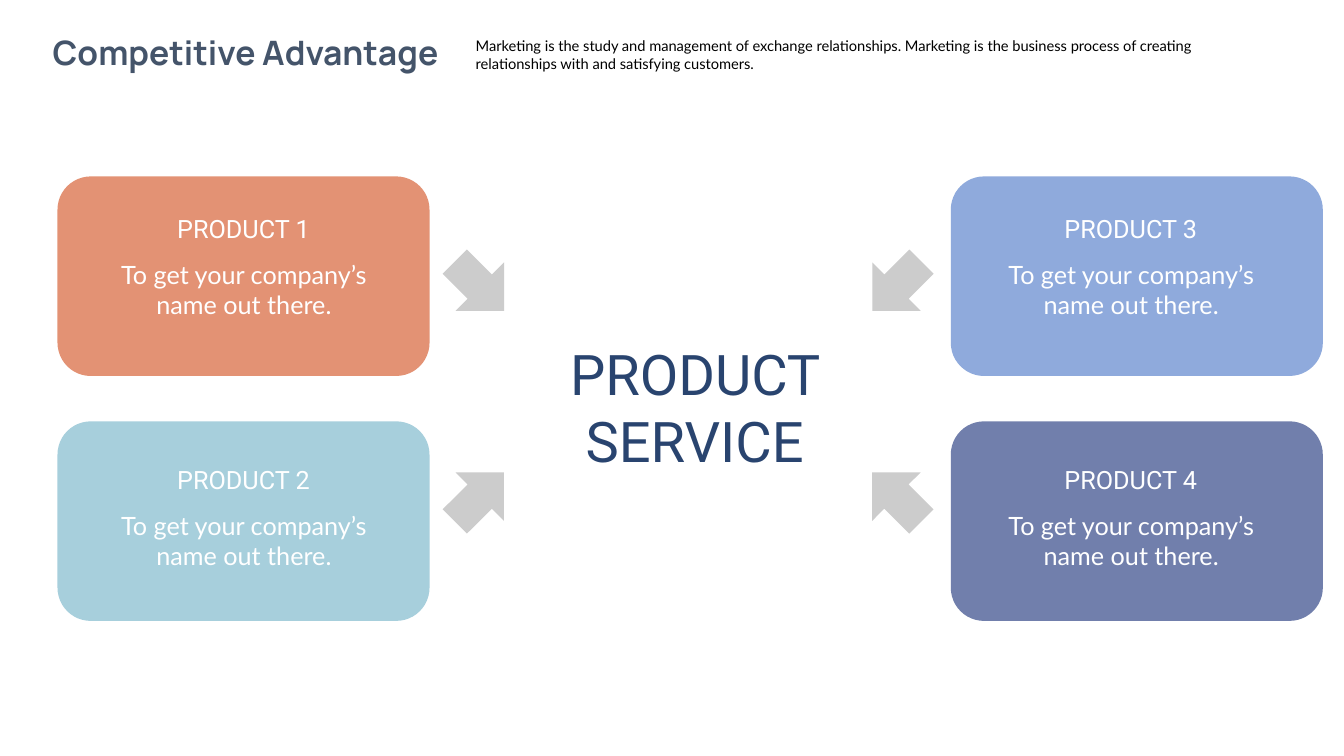
import pptx
import pptx.dml.color
import pptx.enum.shapes
import pptx.enum.text
import pptx.util

EMU_PER_PX = 9144  # 100 px to the inch
COLORS = {
    "title": "44546A", "intro": "000000", "center": "29446F",
    "card_text": "FFFFFF", "arrow": "CCCCCC",
    "orange": "E39274", "teal": "A7CFDC", "blue": "8FAADC", "indigo": "717FAC",
}
CARD_SIZE = (369, 198)
ARROW_SIZE = (69, 68)
SLOGAN = "To get your company’s name out there."


def px(length):
    return pptx.util.Emu(length * EMU_PER_PX)


def rgb(name):
    return pptx.dml.color.RGBColor.from_string(COLORS[name])


def write(holder, text, font_name, size, color, bold=False, centered=True, wrap=True):
    frame = holder.text_frame
    frame.text = text
    frame.word_wrap = wrap
    frame.auto_size = pptx.enum.text.MSO_AUTO_SIZE.NONE
    frame.vertical_anchor = pptx.enum.text.MSO_ANCHOR.TOP
    line = frame.paragraphs[0]
    align = pptx.enum.text.PP_ALIGN
    line.alignment = align.CENTER if centered else align.LEFT
    font = line.runs[0].font
    font.name = font_name
    font.size = pptx.util.Pt(size)
    font.bold = bold
    font.color.rgb = rgb(color)


def add_text(slide, box, *args, **kwargs):
    write(slide.shapes.add_textbox(*map(px, box)), *args, **kwargs)


def add_solid(slide, kind, box, color):
    solid = slide.shapes.add_shape(kind, *map(px, box))
    solid.shadow.inherit = False
    solid.fill.solid()
    solid.fill.fore_color.rgb = rgb(color)
    solid.line.fill.background()
    return solid


def add_header(slide, left, top):
    title = slide.shapes.title
    title.left, title.top, title.width, title.height = map(px, (left, top, 437, 50))
    write(title, "Competitive Advantage", "Manrope", 24, "title", bold=True, wrap=False)
    intro = (
        "Marketing is the study and management of exchange relationships. "
        "Marketing is the business process of creating relationships with "
        "and satisfying customers."
    )
    add_text(slide, (left + 437, top + 5, 772, 45), intro, "Lato", 10.5, "intro",
             centered=False)


def add_card(slide, left, top, color):
    add_solid(slide, pptx.enum.shapes.MSO_SHAPE.ROUNDED_RECTANGLE,
              (left, top, *CARD_SIZE), color)


def add_card_text(slide, left, top, heading):
    """Place the heading over the slogan; left and top belong to the pair."""
    add_text(slide, (left + 42, top, 191, 40), heading, "Roboto", 18, "card_text")
    add_text(slide, (left, top + 45, 276, 71), SLOGAN, "Lato", 18, "card_text")


def add_arrow(slide, left, top, angle):
    arrow = add_solid(slide, pptx.enum.shapes.MSO_SHAPE.RIGHT_ARROW,
                      (left, top, *ARROW_SIZE), "arrow")
    arrow.rotation = angle


def add_products(slide, card_colors):
    """Fill a two by two grid, column by column, with arrows to the center."""
    columns = [(57, 104, 441), (943, 984, 855)]  # card, text, arrow
    rows = [(175, 207, 250), (418, 456, 459)]
    angles = [45, 315, 135, 225]
    cells = [(column, row) for column in columns for row in rows]
    for number, (column, row) in enumerate(cells, start=1):
        spots = list(zip(column, row))
        add_card(slide, *spots[0], card_colors[number - 1])
        add_card_text(slide, *spots[1], f"PRODUCT {number}")
        add_arrow(slide, *spots[2], angles[number - 1])


def main():
    deck = pptx.Presentation()
    deck.slide_width, deck.slide_height = px(1333), px(750)
    slide = deck.slides.add_slide(deck.slide_layouts.get_by_name("Title Only"))
    add_header(slide, 25, 27)
    add_products(slide, ["orange", "teal", "blue", "indigo"])
    add_text(slide, (537, 332, 304, 145), "PRODUCT SERVICE", "Roboto", 40, "center")
    deck.save("out.pptx")


if __name__ == "__main__":
    main()
